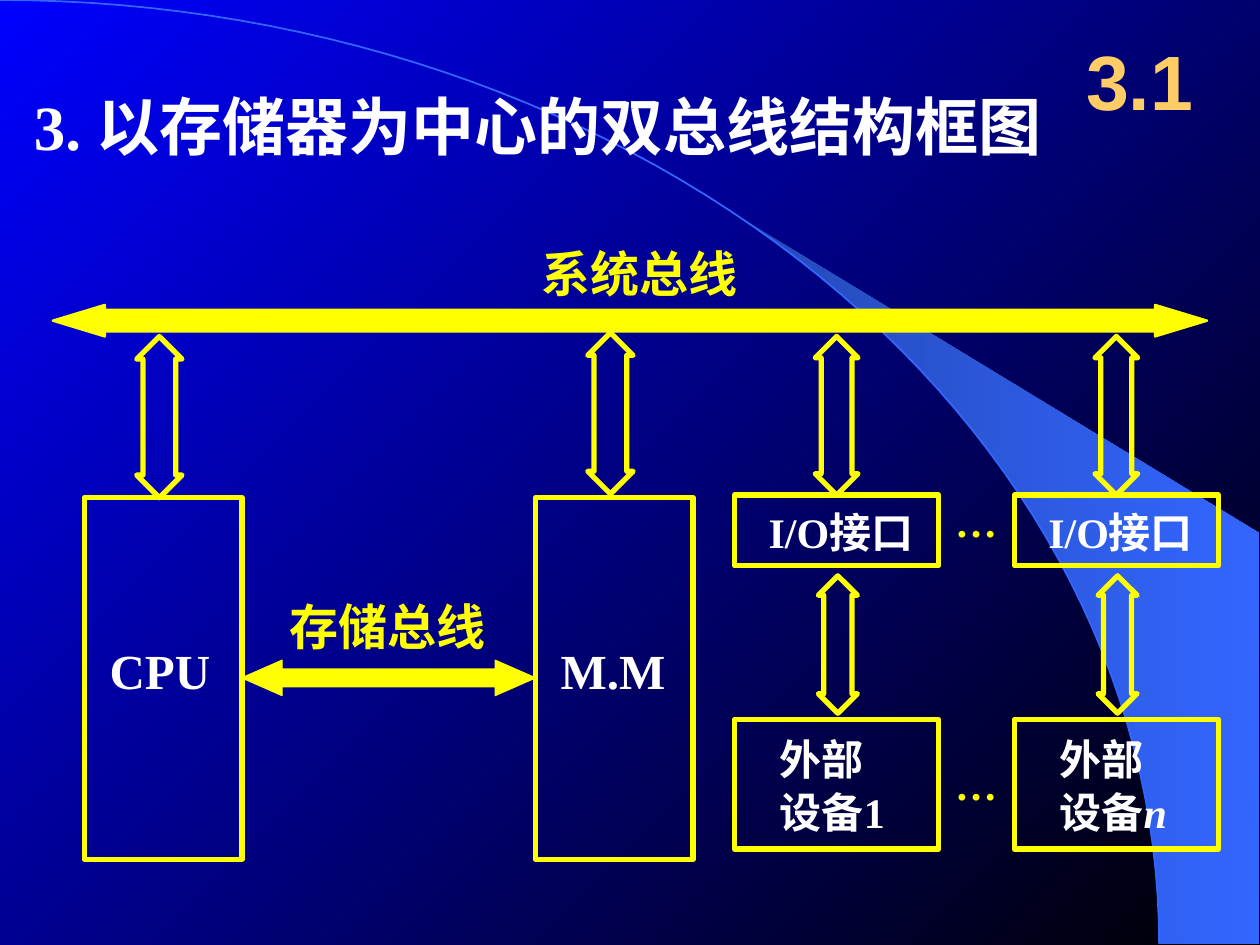
import math
from dataclasses import dataclass

from lxml import etree
from pptx import Presentation
from pptx.dml.color import RGBColor
from pptx.enum import shapes, text
from pptx.oxml import ns
from pptx.util import Inches, Pt


@dataclass(frozen=True)
class Theme:
    white: str = "FFFFFF"
    yellow: str = "FFFF00"
    gold: str = "FFCC66"
    blue: str = "3366FF"
    flare: str = "2449B6"
    sky: tuple = ("0000FF", "000000")
    serif: str = "Times New Roman"
    sans: str = "Arial"
    chinese: str = "Noto Sans CJK SC"
    title: int = 36
    number: int = 44
    label: int = 28
    small: int = 24
    leading: float = 1.24
    outline: float = 3


THEME = Theme()
SHAPE = shapes.MSO_SHAPE


def color(value):
    return RGBColor.from_string(value)


def gradient(fill, colors, angle):
    fill.gradient()
    fill.gradient_angle = angle
    for stop, value in zip(fill.gradient_stops, colors):
        stop.color.rgb = color(value)


def paint(shape, fill=None, line=None, width=THEME.outline):
    shape.shadow.inherit = False
    if fill:
        shape.fill.solid()
        shape.fill.fore_color.rgb = color(fill)
    else:
        shape.fill.background()
    if line:
        shape.line.color.rgb = color(line)
        shape.line.width = Pt(width)
    else:
        shape.line.fill.background()


def write(shape, lines, size, tint=THEME.white, font=THEME.serif, insets=(0, 0, 0, 0),
          align=text.PP_ALIGN.LEFT, anchor=text.MSO_ANCHOR.MIDDLE, chinese=True, wrap=True):
    """Each line is a list of (words, italic) spans."""
    frame = shape.text_frame
    frame.word_wrap = wrap
    frame.vertical_anchor = anchor
    (frame.margin_left, frame.margin_top,
     frame.margin_right, frame.margin_bottom) = map(Inches, insets)
    for index, spans in enumerate(lines):
        para = frame.add_paragraph() if index else frame.paragraphs[0]
        para.alignment = align
        if chinese:
            para.line_spacing = Pt(round(size * THEME.leading))
        for words, italic in spans:
            span = para.add_run()
            span.text = words
            span.font.size = Pt(size)
            span.font.name = font
            span.font.bold = True
            span.font.italic = italic
            span.font.color.rgb = color(tint)
            if chinese:
                east = etree.SubElement(span.font._element, ns.qn("a:ea"))
                east.set("typeface", THEME.chinese)


def add_label(page, box, words, size, **style):
    label = page.shapes.add_textbox(*map(Inches, box))
    write(label, [[(words, False)]], size, **style)


def add_block(page, box, lines, size, **style):
    block = page.shapes.add_shape(SHAPE.RECTANGLE, *map(Inches, box))
    paint(block, line=THEME.yellow)
    write(block, lines, size, **style)


def add_arrow(page, kind, box, shaft, head, fill=None, width=THEME.outline):
    arrow = page.shapes.add_shape(kind, *map(Inches, box))
    arrow.adjustments[0] = shaft
    arrow.adjustments[1] = head
    paint(arrow, fill, THEME.yellow, width)


def add_link(page, center, top, width, height):
    box = (center - width / 2, top, width, height)
    add_arrow(page, SHAPE.UP_DOWN_ARROW, box, 0.5, 0.72)


def add_backdrop(page, width, height):
    gradient(page.background.fill, THEME.sky, 315)

    def arc(start):
        angles = [math.radians(start + (90 - start) * step / 60) for step in range(61)]
        return [(width * math.sin(a), height * (1 - math.cos(a))) for a in angles]

    def outline(points, close):
        builder = page.shapes.build_freeform(
            Inches(points[0][0]), Inches(points[0][1]), scale=1.0)
        builder.add_line_segments(
            [(Inches(x), Inches(y)) for x, y in points[1:]], close=close)
        return builder.convert_to_shape()

    # Flare beside the arc, then the arc itself
    flare = outline(arc(39.8) + [(9.99, 7.49), (9.99, 4.23)], True)
    paint(flare)
    gradient(flare.fill, (THEME.flare, THEME.blue), 0)
    paint(outline(arc(0), False), line=THEME.blue, width=1)


def add_heading(page):
    add_label(page, (0.17, 0.63, 8.67, 0.7), "3. 以存储器为中心的双总线结构框图",
              THEME.title, insets=(0.1, 0.05, 0.1, 0.05))
    add_label(page, (8.42, 0.17, 1.25, 0.92), "3.1", THEME.number, tint=THEME.gold,
              font=THEME.sans, align=text.PP_ALIGN.CENTER, chinese=False)


def add_buses(page):
    bus = SHAPE.LEFT_RIGHT_ARROW
    add_label(page, (4.3, 1.92, 2.53, 0.47), "系统总线", THEME.label,
              tint=THEME.yellow, font=THEME.chinese)
    add_arrow(page, bus, (0.42, 2.42, 9.16, 0.25), 0.68, 1.65, THEME.yellow, 1.38)
    add_label(page, (2.2, 4.67, 1.76, 0.57), "存储总线", THEME.label,
              tint=THEME.yellow, insets=(0.1, 0.05, 0.1, 0.05), wrap=False)
    add_arrow(page, bus, (1.92, 5.24, 2.33, 0.28), 0.5, 1.14, THEME.yellow, 0.75)


def add_unit(page, left, link_top, name):
    width = 1.25
    add_block(page, (left, 3.95, width, 2.87), [[(name, False)]], THEME.label,
              insets=(0.2, 0, 0, 0.13), chinese=False)
    add_link(page, left + width / 2 - 0.03, link_top, 0.36, 1.28)


def add_device(page, left, number, italic):
    width = 1.62
    add_block(page, (left, 3.93, width, 0.56), [[("I/O接口", False)]], THEME.small,
              insets=(0.27, 0, 0, 0))
    add_block(page, (left, 5.71, width, 1.03),
              [[("外部", False)], [("设备", False), (number, italic)]], THEME.small,
              insets=(0.36, 0, 0, 0))
    # Links up to the bus and down to the device
    add_link(page, left + 0.81, 2.67, 0.34, 1.26)
    add_link(page, left + 0.82, 4.57, 0.31, 1.09)


def main():
    deck = Presentation()
    deck.slide_width, deck.slide_height = Inches(10), Inches(7.5)
    page = deck.slides.add_slide(deck.slide_layouts[6])
    add_backdrop(page, 9.2, 7.49)
    add_heading(page)
    add_buses(page)
    # Processor and memory
    for left, link_top, name in ((0.67, 2.67, "CPU"), (4.25, 2.64, "M.M")):
        add_unit(page, left, link_top, name)
    # Interfaces with their devices
    for left, number, italic in ((5.83, "1", False), (8.05, "n", True)):
        add_device(page, left, number, italic)
    for top in (3.93, 6.02):
        add_label(page, (7.58, top, 0.33, 0.4), "…", THEME.small, tint=THEME.yellow,
                  anchor=text.MSO_ANCHOR.TOP, chinese=False, wrap=False)
    deck.save("out.pptx")


main()
